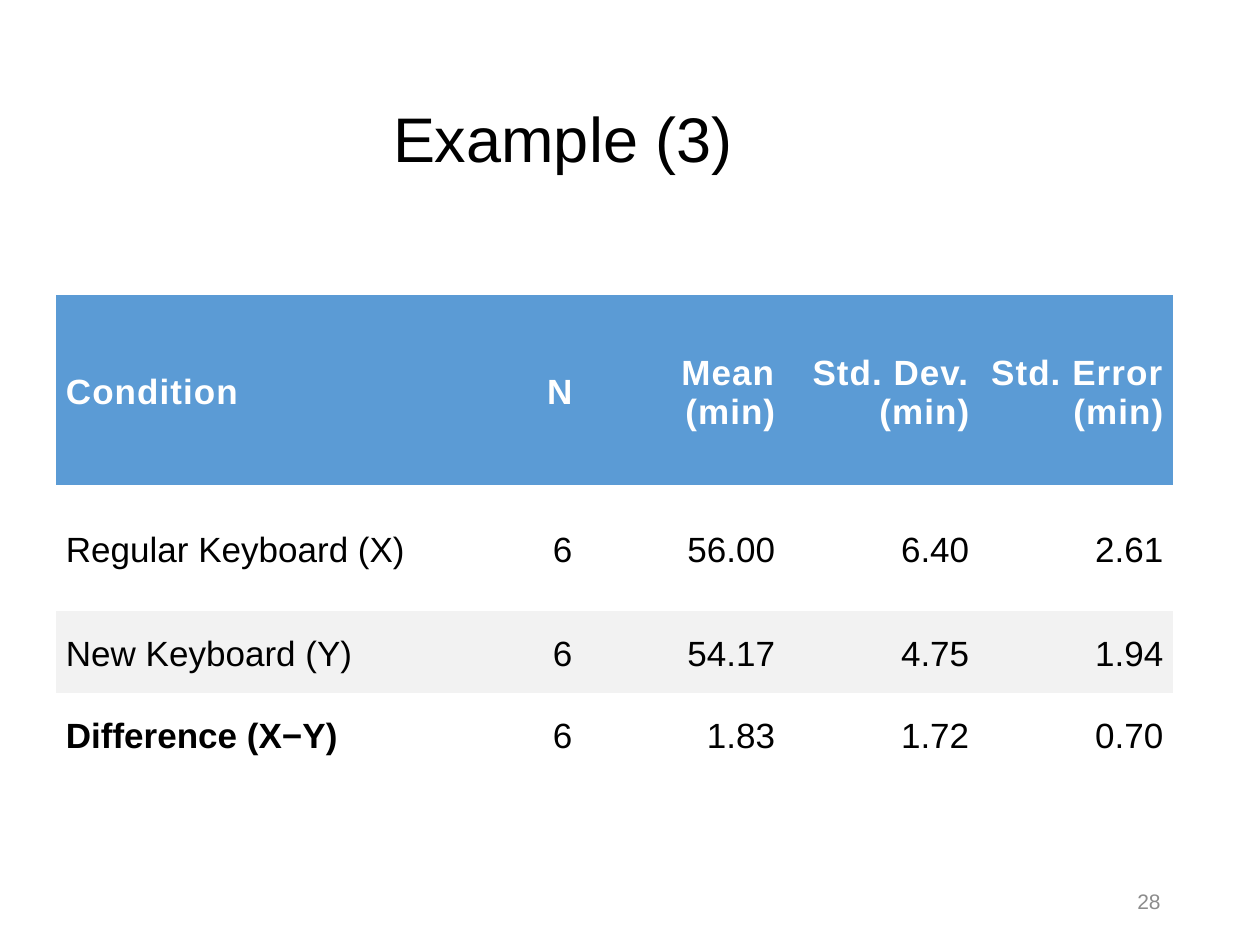
from pptx import Presentation
from pptx.util import Pt
from pptx.dml.color import RGBColor
from pptx.enum.text import PP_ALIGN, MSO_ANCHOR

BLACK = RGBColor(0x00, 0x00, 0x00)
WHITE = RGBColor(0xFF, 0xFF, 0xFF)
GRAY = RGBColor(0x8C, 0x8C, 0x8C)
BLUE = RGBColor(0x5B, 0x9B, 0xD5)
BAND = RGBColor(0xF2, 0xF2, 0xF2)
NO_STYLE = "{2D5ABB26-0587-4C30-8999-92F81FD0307C}"


def add_run(p, text, size, color, bold=False):
    r = p.add_run()
    r.text = text
    r.font.name = "Arial"
    r.font.size = Pt(size)
    r.font.bold = bold
    r.font.color.rgb = color
    return r


def add_text(s, box, text, size, color):
    tf = s.shapes.add_textbox(*[Pt(v) for v in box]).text_frame
    tf.word_wrap = True
    tf.vertical_anchor = MSO_ANCHOR.MIDDLE
    p = tf.paragraphs[0]
    add_run(p, text, size, color)
    return p


prs = Presentation()
prs.slide_width, prs.slide_height = Pt(720), Pt(540)
s = prs.slides.add_slide(prs.slide_layouts[6])

# Title and page number
p = add_text(s, (217.5, 28.8, 620.6, 104.4), "Example (3)", 36, BLACK)
p.line_spacing = 0.9
p = add_text(s, (508.3, 500.4, 162, 28.8), "28", 12, GRAY)
p.alignment = PP_ALIGN.RIGHT
p.space_after = Pt(6)

# Results table
rows = [
    ("Condition", "N", "Mean (min)", "Std. Dev. (min)", "Std. Error (min)"),
    ("Regular Keyboard (X)", "6", "56.00", "6.40", "2.61"),
    ("New Keyboard (Y)", "6", "54.17", "4.75", "1.94"),
    ("Difference (X−Y)", "6", "1.83", "1.72", "0.70"),
]
widths = [237.6, 63.4, 115.9, 110.9, 110.9]
heights = [108.7, 72, 46.8, 46.8]
fills = [BLUE, None, BAND, None]

frame = s.shapes.add_table(len(rows), len(widths), Pt(31.9), Pt(168.5),
                           Pt(sum(widths)), Pt(sum(heights)))
table = frame.table
table.horz_banding = False
table._tbl.tblPr[0].text = NO_STYLE
for column, width in zip(table.columns, widths):
    column.width = Pt(width)

for i, row in enumerate(rows):
    table.rows[i].height = Pt(heights[i])
    header = i == 0
    for j, text in enumerate(row):
        cell = table.cell(i, j)
        cell.vertical_anchor = MSO_ANCHOR.MIDDLE
        cell.margin_left = cell.margin_right = cell.margin_top = Pt(5.8)
        cell.margin_bottom = Pt(2.9)
        if fills[i] is None:
            cell.fill.background()
        else:
            cell.fill.solid()
            cell.fill.fore_color.rgb = fills[i]
        p = cell.text_frame.paragraphs[0]
        p.alignment = PP_ALIGN.RIGHT if j else PP_ALIGN.LEFT
        bold = header or (i == len(rows) - 1 and j == 0)
        r = add_run(p, text, 20, WHITE if header else BLACK, bold)
        if header:
            r.font._element.set("spc", "60")  # letter spacing

prs.save("out.pptx")
